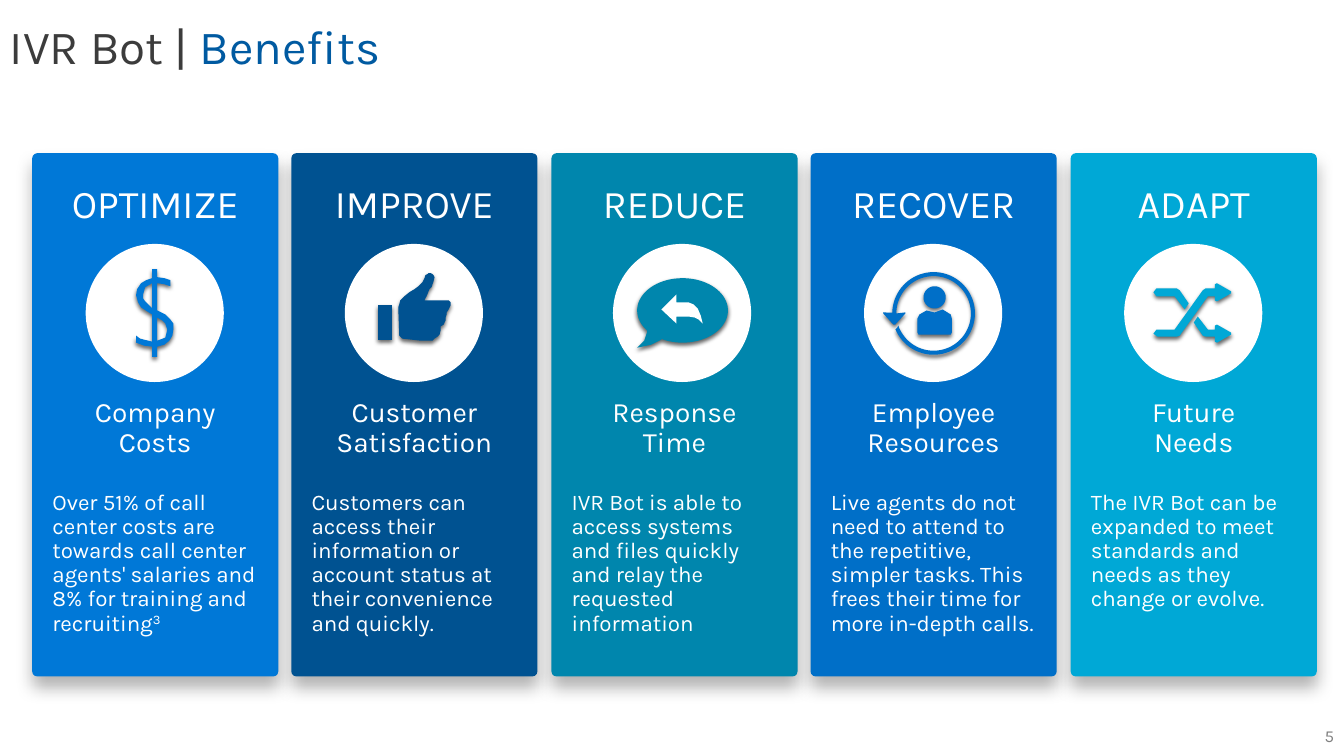
from math import cos, radians, sin

from lxml.etree import SubElement
from pptx import Presentation
from pptx.dml.color import RGBColor
from pptx.enum.shapes import MSO_SHAPE as SHAPE
from pptx.enum.text import MSO_ANCHOR as ANCHOR, PP_ALIGN as ALIGN
from pptx.oxml.ns import qn
from pptx.util import Emu, Pt

PX = 9144  # 100 px to the inch
FONT = "Karla"
WHITE = "FFFFFF"
CARD_SHADOW = dict(alpha=30, blur=12, dist=8)
ICON_SHADOW = dict(alpha=60, blur=3, dist=2)


def px(*lengths):
    return [Emu(round(n * PX)) for n in lengths]


def rgb(color):
    return RGBColor.from_string(color)


def arc(cx, cy, rx, ry, start, end, steps=72):
    angles = [radians(start + (end - start) * i / steps) for i in range(steps + 1)]
    return [(cx + rx * cos(a), cy + ry * sin(a)) for a in angles]


# Icon outlines, in px from the top left of the disc; a part is a list of contours
DOLLAR = [[
    [(71, 112), (66, 112), (66, 102), (58, 101), (50, 98), (50, 91), (54, 94), (58, 95),
     (62, 96), (66, 97), (66, 70), (61, 67), (55, 63), (52, 58), (50, 51), (51, 45),
     (55, 39), (60, 36), (66, 34), (66, 25), (71, 25), (71, 33), (78, 34), (84, 36),
     (84, 42), (78, 40), (71, 39), (71, 66), (79, 70), (84, 75), (87, 79), (87, 85),
     (86, 91), (83, 96), (78, 100), (71, 102)],
    [(66, 39), (59, 43), (57, 50), (57, 54), (59, 57), (62, 60), (66, 64)],
    [(71, 96), (79, 93), (81, 85), (80, 82), (79, 79), (76, 76), (71, 73)],
]]
THUMB = [
    [[(53, 63), (54, 60), (55, 56), (59, 52), (64, 48), (69, 45), (73, 42), (77, 38),
      (79, 34), (80, 31), (82, 30), (83, 29), (85, 29), (87, 30), (88, 31), (89, 33),
      (88, 37), (87, 40), (86, 43), (84, 45), (83, 47), (82, 50), (81, 52), (79, 56),
      (101, 56), (103, 56), (104, 57), (105, 58), (105, 61), (104, 63), (103, 65),
      (101, 68), (101, 70), (100, 73), (100, 76), (99, 78), (98, 80), (95, 82),
      (95, 86), (94, 90), (92, 92), (89, 94), (87, 96), (83, 96), (75, 96), (66, 95),
      (57, 94), (55, 92), (54, 91)]],
    [[(33, 61), (47, 61), (47, 95), (33, 95)]],
]
BUBBLE = [[[(34, 87), (31, 96), (24, 103), (38, 100), (48, 95),
            *arc(69, 66, 45, 32, 118, -218)]]]
REPLY = [[[(75, 58), (63, 58), (63, 50), (48, 65), (63, 79), (63, 72), (75, 72),
           (81, 73), (85, 75), (89, 79), (87, 71), (84, 64), (80, 60)]]]
AGENT = [
    [[(19, 69), (29, 80), (31, 80), (41, 69), (41, 68), *arc(69, 69, 37, 37, 180, 521),
      (33, 83), (31, 85), *arc(69, 69, 41, 41, 517, 181), (19, 68)]],
    [arc(70, 53, 11, 11, 0, 360),
     [(86, 70), (78, 65), (70, 68), (62, 66), (55, 70), (53, 74), (53, 88), (54, 90),
      (86, 90), (87, 88), (87, 74)]],
]
SHUFFLE = [[
    [(90, 56), (90, 52), (83, 52), (55, 91), (52, 92), (33, 92), (29, 89), (32, 85),
     (50, 85), (78, 46), (81, 44), (90, 44), (90, 40), (92, 39), (106, 47), (106, 49),
     (92, 57)],
    [(32, 52), (50, 52), (60, 65), (64, 59), (55, 46), (52, 44), (32, 44), (29, 48)],
    [(90, 85), (83, 85), (73, 72), (69, 78), (78, 91), (81, 92), (90, 92), (90, 97),
     (92, 98), (106, 90), (106, 88), (92, 80), (90, 81)],
]]

# Heading, topic, details, footnote mark, colour, disc offset, icon, white icon overlay
CARDS = [
    ("OPTIMIZE", "Company\nCosts",
     "Over 51% of call center costs are towards call center agents' salaries "
     "and 8% for training and recruiting", "3", "0078D7", 53, DOLLAR, []),
    ("IMPROVE", "Customer Satisfaction",
     "Customers can access their information or account status at their "
     "convenience and quickly.", "", "005291", 53, THUMB, []),
    ("REDUCE", "Response\nTime",
     "IVR Bot is able to access systems and files quickly and relay the "
     "requested information", "", "0086AD", 61, BUBBLE, REPLY),
    ("RECOVER", "Employee Resources",
     "Live agents do not need to attend to the repetitive, simpler tasks. "
     "This frees their time for more in-depth calls.", "", "006FC8", 53, AGENT, []),
    ("ADAPT", "Future\nNeeds",
     "The IVR Bot can be expanded to meet standards and needs as they change "
     "or evolve.", "", "00A8D6", 53, SHUFFLE, []),
]


def paint(sp, color, shadow=None):
    sp.fill.solid()
    sp.fill.fore_color.rgb = rgb(color)
    sp.line.fill.background()
    sp.shadow.inherit = False
    if shadow:
        effects = sp._element.spPr.find(qn("a:effectLst"))
        outer = SubElement(effects, qn("a:outerShdw"), blurRad=str(Pt(shadow["blur"])),
                           dist=str(Pt(shadow["dist"])), dir="5400000",
                           algn="t", rotWithShape="0")
        tint = SubElement(outer, qn("a:srgbClr"), val="000000")
        SubElement(tint, qn("a:alpha"), val=str(shadow["alpha"] * 1000))


def add_text(shapes, box, runs, size, align=ALIGN.LEFT, anchor=ANCHOR.TOP,
             inset=(10, 5), spacing=0.9, after=0):
    """Each run is (text, colour, superscript)."""
    tf = shapes.add_textbox(*px(*box)).text_frame
    tf.word_wrap = True
    tf.vertical_anchor = anchor
    tf.margin_left = tf.margin_right = px(inset[0])[0]
    tf.margin_top = tf.margin_bottom = px(inset[1])[0]
    p = tf.paragraphs[0]
    p.alignment, p.line_spacing, p.space_after = align, spacing, Pt(after)
    for text, color, superscript in runs:
        for i, line in enumerate(text.split("\n")):
            if i:
                p.add_line_break()
            r = p.add_run()
            r.text = line
            r.font.name, r.font.size = FONT, Pt(size)
            r.font.color.rgb = rgb(color)
            if superscript:
                r.font._element.set("baseline", "30000")


def add_icon(shapes, left, top, parts, color, shadow=None):
    for contours in parts:
        placed = [[px(left + x, top + y) for x, y in c] for c in contours]
        outline = shapes.build_freeform(*placed[0][0])
        for i, points in enumerate(placed):
            if i:
                outline.move_to(*points[0])
            outline.add_line_segments(points[1:], close=True)
        paint(outline.convert_to_shape(), color, shadow)


def add_header(slide, left, top, width, height):
    runs = [("IVR Bot | ", "3C3C3C", False), ("Benefits", "005AA1", False)]
    add_text(slide.shapes, (left, top, width, height), runs, 34, anchor=ANCHOR.MIDDLE)


def add_page_number(slide, left, top, width, height):
    add_text(slide.shapes, (left, top, width, height), [("5", "808080", False)], 12,
             align=ALIGN.RIGHT, anchor=ANCHOR.MIDDLE, spacing=1.0)


def add_card(slide, left, top, width, height, card):
    heading, topic, details, mark, color, disc_x, icon, overlay = card
    shapes = slide.shapes.add_group_shape().shapes

    # Panel
    panel = shapes.add_shape(SHAPE.ROUNDED_RECTANGLE, *px(left, top, width, height))
    panel.adjustments[0] = 0.02
    paint(panel, color, CARD_SHADOW)

    # Text
    body = [(details, WHITE, False)] + ([(mark, WHITE, True)] if mark else [])
    add_text(shapes, (left, top + 15, width, 75), [(heading, WHITE, False)], 28,
             align=ALIGN.CENTER, inset=(20, 16), after=6)
    add_text(shapes, (left, top + 227, width, 93), [(topic, WHITE, False)], 20,
             align=ALIGN.CENTER, inset=(10, 16), after=6)
    add_text(shapes, (left, top + 319, width, 178), body, 16, inset=(20, 16), after=6)

    # Disc with icon
    disc = left + disc_x, top + 90
    paint(shapes.add_shape(SHAPE.OVAL, *px(*disc, 137, 137)), WHITE)
    add_icon(shapes, *disc, icon, color, ICON_SHADOW)
    add_icon(shapes, *disc, overlay, WHITE)


def main():
    prs = Presentation()
    prs.slide_width, prs.slide_height = px(1333, 750)
    slide = prs.slides.add_slide(prs.slide_layouts[6])
    add_page_number(slide, 1033, 710, 300, 40)
    add_header(slide, 0, 0, 1333, 97)
    for i, card in enumerate(CARDS):
        add_card(slide, 32 + i * 515 // 2, 152, 244, 519, card)
    prs.save("out.pptx")


if __name__ == "__main__":
    main()
